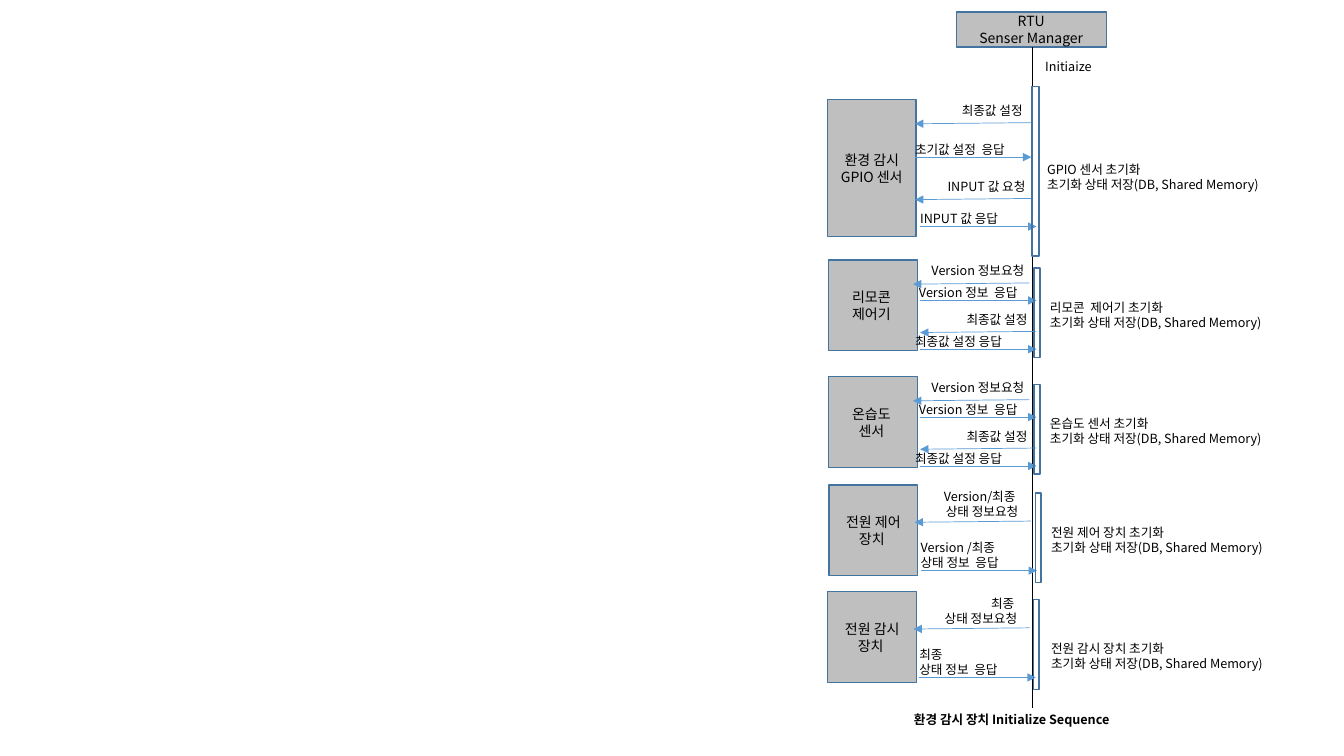
"""Build the initialization sequence diagram of the environment monitoring devices."""
from lxml.etree import SubElement
from pptx import Presentation
from pptx.dml.color import RGBColor
from pptx.enum.shapes import MSO_CONNECTOR, MSO_SHAPE
from pptx.enum.text import MSO_ANCHOR, MSO_AUTO_SIZE, PP_ALIGN
from pptx.oxml.ns import qn
from pptx.util import Cm, Pt

RECTANGLE = MSO_SHAPE.RECTANGLE
STRAIGHT = MSO_CONNECTOR.STRAIGHT
MIDDLE = MSO_ANCHOR.MIDDLE
GROW = MSO_AUTO_SIZE.SHAPE_TO_FIT_TEXT
LEFT, CENTER, RIGHT = PP_ALIGN.LEFT, PP_ALIGN.CENTER, PP_ALIGN.RIGHT
FONT = "Noto Sans CJK KR"
BLACK, GRAY, BORDER, ARROW = "000000", "BFBFBF", "43739E", "5B9BD5"
DEVICE_WIDTH = 2.24
ARROW_LENGTH, ARROW_DROP = 2.93, 0.03
LINE_HEIGHT, TEXT_MARGIN = 0.38, 0.26
SAVED = "초기화 상태 저장(DB, Shared Memory)"

presentation = Presentation()
presentation.slide_width, presentation.slide_height = Cm(33.87), Cm(19.05)
slide = presentation.slides.add_slide(presentation.slide_layouts[6])


def add_text(text, left, top, width, height=None, alignment=LEFT, bold=None, size=9, box=False):
    """Add a gray box or a plain label holding one paragraph per text line."""
    if height is None:
        height = TEXT_MARGIN + LINE_HEIGHT * len(text.split("\n"))
    area = Cm(left), Cm(top), Cm(width), Cm(height)
    if box:
        shape = slide.shapes.add_shape(RECTANGLE, *area)
        shape.shadow.inherit = False
        shape.fill.solid()
        shape.fill.fore_color.rgb = RGBColor.from_string(GRAY)
        shape.line.color.rgb = RGBColor.from_string(BORDER)
        shape.line.width = Pt(1)
        shape.text_frame.vertical_anchor = MIDDLE
    else:
        shape = slide.shapes.add_textbox(*area)
        shape.text_frame.auto_size = GROW
    shape.text_frame.word_wrap = True
    shape.text_frame.text = text
    for paragraph in shape.text_frame.paragraphs:
        paragraph.alignment = alignment
        paragraph.font.size = Pt(size)
        paragraph.font.bold = bold
        paragraph.font.color.rgb = RGBColor.from_string(BLACK)
        paragraph.font.name = FONT
        SubElement(paragraph.font._rPr, qn("a:ea"), typeface=FONT)


def add_line(start_x, start_y, end_x, end_y, color, arrow=False):
    """Add a thin straight line, with an arrowhead at its end if asked."""
    line = slide.shapes.add_connector(STRAIGHT, Cm(start_x), Cm(start_y), Cm(end_x), Cm(end_y))
    line.line.color.rgb = RGBColor.from_string(color)
    line.line.width = Pt(0.5)
    if arrow:
        SubElement(line.line._get_or_add_ln(), qn("a:tailEnd"), type="triangle")
    SubElement(line._element.spPr, qn("a:effectLst"))


# Each message: text, request or not, arrow x and y, label x, y and width, all from the device corner
gpio_messages = [
    ("최종값 설정 ", True, 2.21, 0.58, 2.75, -0.03, 2.49),
    ("초기값 설정  응답", False, 2.21, 1.45, 1.96, 0.94, 3.2),
    ("INPUT 값 요청", True, 2.21, 2.49, 2.14, 1.88, 3.1),
    ("INPUT 값 응답", False, 2.34, 3.2, 2.09, 2.69, 3.2),
]
version_messages = [
    ("Version 정보요청", True, 2.13, 0.58, 2.11, -0.05, 3.07),
    ("Version 정보  응답", False, 2.31, 1.02, 2.03, 0.51, 3.2),
    ("최종값 설정 ", True, 2.31, 1.8, 2.84, 1.19, 2.49),
    ("최종값 설정 응답", False, 2.31, 2.25, 1.93, 1.75, 3.0),
]
control_messages, watch_messages = [
    [
        (f"{request}\n상태 정보요청", True, 2.16, 0.91, 1.95, -0.03, 3.07),
        (f"{response}\n상태 정보  응답", False, 2.31, 2.16, 2.06, 1.26, 3.2),
    ]
    for request, response in [("Version/최종 ", "Version /최종"), ("최종 ", "최종")]
]

# Each device: label, left, top, height, bar offset, width and height, note, its offset and width, messages
devices = [
    ("환경 감시GPIO 센서", 20.85, 2.51, 3.45, (5.16, -0.33, 0.18, 4.27),
     "GPIO 센서 초기화", (5.29, 1.45, 5.99), gpio_messages),
    ("리모콘 \n제어기 ", 20.88, 6.55, 2.29, (5.18, 0.2, 0.15, 2.26),
     "리모콘  제어기 초기화", (5.33, 0.87, 6.15), version_messages),
    ("온습도 \n센서 ", 20.88, 9.49, 2.29, (5.18, 0.2, 0.15, 2.26),
     "온습도 센서 초기화", (5.33, 0.87, 6.35), version_messages),
    ("전원 제어 장치 ", 20.89, 12.22, 2.29, (5.2, 0.2, 0.15, 2.26),
     "전원 제어 장치 초기화", (5.35, 0.87, 5.9), control_messages),
    ("전원 감시 장치 ", 20.86, 14.91, 2.29, (5.18, 0.2, 0.15, 2.26),
     "전원 감시 장치 초기화", (5.38, 1.12, 6.32), watch_messages),
]

add_text("RTU\nSenser Manager", 24.1, 0.3, 3.78, 0.89, CENTER, size=10, box=True)
add_line(26.01, 1.19, 26.01, 17.83, BLACK)
add_text("Initiaize", 26.09, 1.35, 2.95)

for label, left, top, height, bar_area, note, note_area, messages in devices:
    add_text(label, left, top, DEVICE_WIDTH, height, CENTER, size=10, box=True)
    for text, is_request, arrow_x, arrow_y, text_x, text_y, text_width in messages:
        near, far = left + arrow_x, left + arrow_x + ARROW_LENGTH
        level = top + arrow_y
        if is_request:
            add_line(far, level, near, level + ARROW_DROP, ARROW, arrow=True)
        else:
            add_line(near, level, far, level, ARROW, arrow=True)
        add_text(text, left + text_x, top + text_y, text_width, alignment=RIGHT if is_request else LEFT)

    bar_x, bar_y, bar_width, bar_height = bar_area
    bar = slide.shapes.add_shape(
        RECTANGLE, Cm(left + bar_x), Cm(top + bar_y), Cm(bar_width), Cm(bar_height))
    bar.shadow.inherit = False
    bar.fill.background()
    bar.line.color.rgb = RGBColor.from_string(BORDER)
    bar.line.width = Pt(1)

    note_x, note_y, note_width = note_area
    add_text(f"{note}\n{SAVED}", left + note_x, top + note_y, note_width)

add_text("환경 감시 장치 Initialize Sequence", 21.23, 17.81, 8.53, alignment=CENTER, bold=True)

presentation.save("out.pptx")
